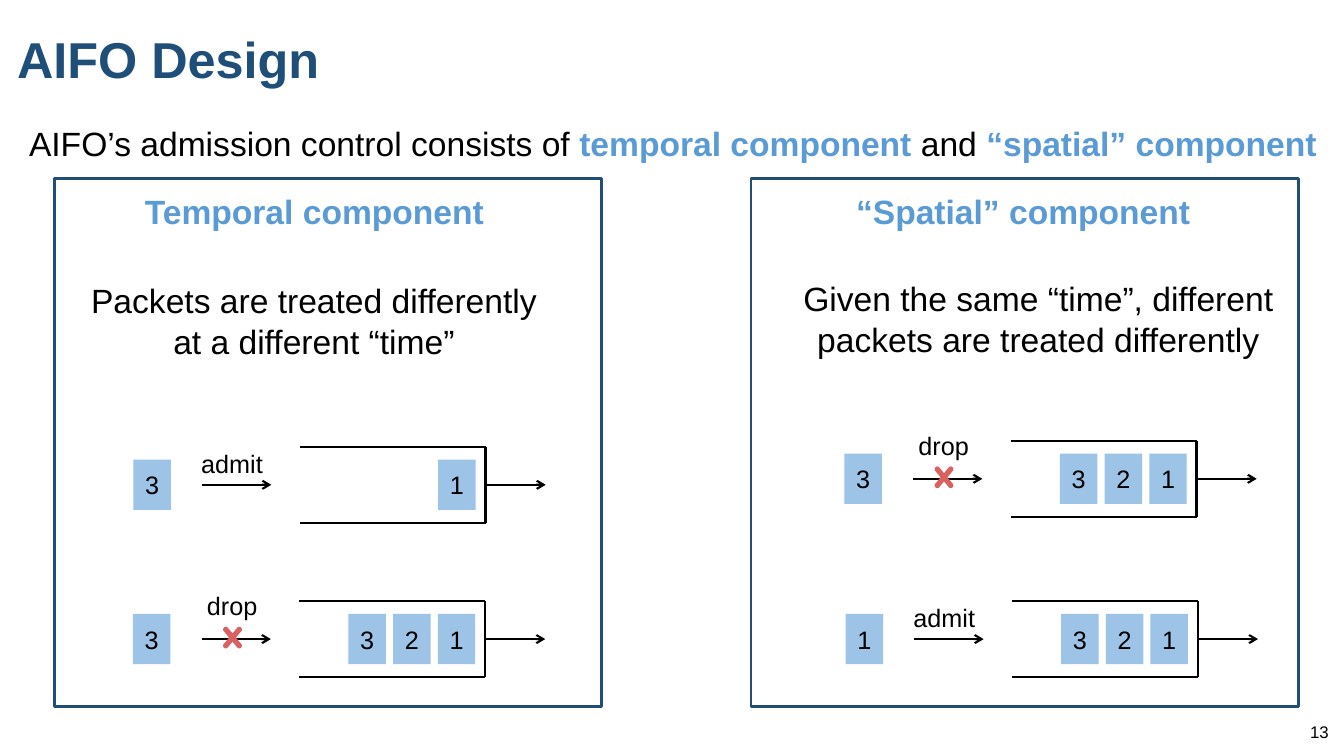
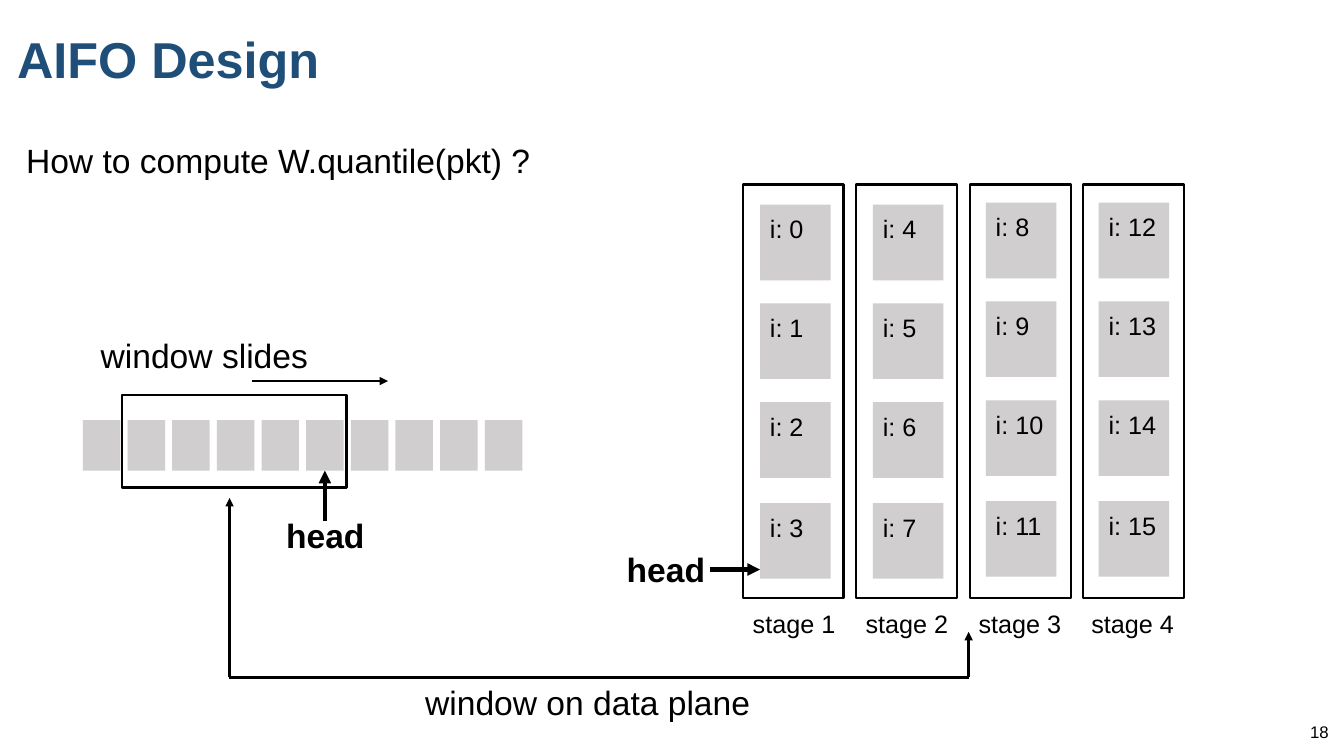
from dataclasses import dataclass
from typing import Any, Optional

import lxml.etree
import pptx
import pptx.dml.color
import pptx.enum.shapes
import pptx.enum.text
import pptx.oxml.ns
import pptx.util

Pt = pptx.util.Pt
Preset = pptx.enum.shapes.MSO_SHAPE
Align = pptx.enum.text.PP_ALIGN
Anchor = pptx.enum.text.MSO_ANCHOR

# Shared look
FONT = "Arial"
BLACK, NAVY, BLUE = "000000", "1F4E79", "5B9BD5"
PALE_BLUE, GREY, RED = "9DC3E6", "D0CECE", "D9615F"
PACKET_WIDTH, PACKET_HEIGHT, PACKET_PITCH = 26.8, 36, 31.9


@dataclass(frozen=True)
class Span:
    text: str
    color: str = BLACK
    bold: bool = False


@dataclass(frozen=True)
class QueueRow:
    left: float
    top: float
    arriving: str
    queued: str  # from the head of the queue backwards
    admitted: bool


@dataclass(frozen=True)
class Panel:
    left: float
    heading: str
    heading_left: float
    heading_width: float
    body: str
    body_left: float
    body_top: float
    body_width: float
    rows: tuple[QueueRow, ...]


PANELS = (
    Panel(38.9, "Temporal component", 95, 259.2,
          "Packets are treated differently at a different “time”", 55.4, 196.6, 337.7,
          (QueueRow(95.3, 328.3, "3", "1", True),
           QueueRow(95, 438.5, "3", "123", False))),
    Panel(536.4, "“Spatial” component", 603.4, 254.9,
          "Given the same “time”, different packets are treated differently", 562.3, 195.1, 358.6,
          (QueueRow(603.2, 324, "3", "123", False),
           QueueRow(604.1, 438.5, "1", "123", True))),
)


def rgb(value: str) -> pptx.dml.color.RGBColor:
    return pptx.dml.color.RGBColor.from_string(value)


def set_font(font: Any, size: float, color: str = BLACK, bold: bool = False) -> None:
    font.name, font.size, font.bold = FONT, Pt(size), bold
    font.color.rgb = rgb(color)


def add_text(page: Any, left: float, top: float, width: float, height: float,
             spans: list[Span], size: float = 24, align: Any = Align.LEFT,
             wrap: bool = False, anchor: Any = Anchor.TOP) -> None:
    box = page.shapes.add_textbox(Pt(left), Pt(top), Pt(width), Pt(height))
    frame = box.text_frame
    frame.word_wrap = wrap
    frame.vertical_anchor = anchor
    para = frame.paragraphs[0]
    para.alignment = align
    for span in spans:
        para.add_run().text = span.text
    if len(spans) == 1:
        set_font(para.font, size, spans[0].color, spans[0].bold)
    else:
        for run, span in zip(para.runs, spans):
            set_font(run.font, size, span.color, span.bold)


def add_shape(page: Any, left: float, top: float, width: float, height: float,
              fill: Optional[str] = None, line: Optional[str] = None,
              weight: float = 2, preset: Any = Preset.RECTANGLE) -> Any:
    shape = page.shapes.add_shape(preset, Pt(left), Pt(top), Pt(width), Pt(height))
    shape.shadow.inherit = False
    if fill:
        shape.fill.solid()
        shape.fill.fore_color.rgb = rgb(fill)
    else:
        shape.fill.background()
    if line:
        shape.line.color.rgb = rgb(line)
        shape.line.width = Pt(weight)
    else:
        shape.line.fill.background()
    return shape


def add_line(page: Any, start: tuple[float, float], end: tuple[float, float],
             weight: float = 1.5, head: Optional[str] = None) -> Any:
    line = page.shapes.add_connector(
        pptx.enum.shapes.MSO_CONNECTOR.STRAIGHT,
        Pt(start[0]), Pt(start[1]), Pt(end[0]), Pt(end[1]))
    line.line.color.rgb = rgb(BLACK)
    line.line.width = Pt(weight)
    qn = pptx.oxml.ns.qn
    properties = line.element.spPr
    if head:
        lxml.etree.SubElement(properties.find(qn("a:ln")), qn("a:tailEnd"), type=head)
    lxml.etree.SubElement(properties, qn("a:effectLst"))
    return line


def add_page(deck: Any, number: str) -> Any:
    page = deck.slides.add_slide(deck.slide_layouts[5])
    title = page.shapes.title
    title.left, title.top, title.width, title.height = Pt(5), Pt(-7.9), Pt(884.2), Pt(104.4)
    title.text_frame.text = "AIFO Design"
    title.text_frame.vertical_anchor = Anchor.MIDDLE
    para = title.text_frame.paragraphs[0]
    para.alignment = Align.LEFT
    para.line_spacing = 0.9
    set_font(para.font, 36, NAVY, True)
    add_text(page, 740.2, 508.3, 216, 28.8, [Span(number)], 12, Align.RIGHT, True, Anchor.MIDDLE)
    return page


def add_packet(page: Any, left: float, top: float, rank: str) -> None:
    packet = add_shape(page, left, top, PACKET_WIDTH, PACKET_HEIGHT, PALE_BLUE)
    frame = packet.text_frame
    frame.vertical_anchor = Anchor.MIDDLE
    frame.paragraphs[0].text = rank
    frame.paragraphs[0].alignment = Align.CENTER
    set_font(frame.paragraphs[0].font, 18)


def add_queue_row(page: Any, row: QueueRow) -> None:
    left, top = row.left, row.top
    middle = top + PACKET_HEIGHT / 2
    mouth, wall = left + 118.8, left + 251.5
    roof, floor = middle - 27, middle + 27
    # Queue walls
    add_line(page, (mouth, roof), (wall, roof))
    add_line(page, (mouth, floor), (wall, floor))
    add_line(page, (wall, floor), (wall, roof))
    # Packets
    add_packet(page, left, top, row.arriving)
    for slot, rank in enumerate(row.queued):
        add_packet(page, left + 217.7 - slot * PACKET_PITCH, top, rank)
    # Arrows in and out, with the decision
    add_line(page, (wall, middle), (wall + 43, middle), head="arrow")
    add_line(page, (left + 49, middle), (left + 98.5, middle), head="arrow")
    if row.admitted:
        add_text(page, left + 41.3, top - 11.5, 59, 28.8, [Span("admit")], 18)
    else:
        add_text(page, left + 45.7, top - 20.2, 51.1, 28.8, [Span("drop")], 18)
        cross = add_shape(page, left + 61, top + 4.7, 20.2, 24.5, line=RED, weight=2.25,
                          preset=Preset.MATH_MULTIPLY)
        cross.adjustments[0] = 0.075


def build_components(deck: Any) -> None:
    page = add_page(deck, "13")
    add_text(page, 13.7, 84.2, 938.2, 36, [
        Span("AIFO’s admission control consists of "),
        Span("temporal component ", BLUE, True),
        Span("and "),
        Span("“spatial” component", BLUE, True)])
    for panel in PANELS:
        add_shape(page, panel.left, 127.4, 391, 377.3, line=NAVY)
        add_text(page, panel.heading_left, 132.5, panel.heading_width, 36,
                 [Span(panel.heading, BLUE, True)], align=Align.CENTER)
        add_text(page, panel.body_left, panel.body_top, panel.body_width, 65.5,
                 [Span(panel.body)], align=Align.CENTER, wrap=True)
        for row in panel.rows:
            add_queue_row(page, row)


def add_stages(page: Any) -> None:
    cell_tops = (146.2, 216.7, 287.3, 359.3)
    for stage in range(4):
        shift = stage * 80.64
        lift = 1.4 if stage >= 2 else 0
        for place, top in enumerate(cell_tops):
            cell = add_shape(page, 542.9 + shift, top - lift, 50.4, 54, GREY)
            frame = cell.text_frame
            frame.vertical_anchor = Anchor.TOP
            frame.margin_top, frame.margin_right = Pt(6.3), Pt(0)
            para = frame.paragraphs[0]
            para.text = f"i: {stage * len(cell_tops) + place}"
            para.alignment = Align.LEFT
            set_font(para.font, 18)
        add_shape(page, 530.6 + stage * 81.1, 131.8, 72, 295.2, line=BLACK, weight=1.5)
        add_text(page, 530.6 + shift, 431.3, 74.2, 28.8, [Span(f"stage {stage + 1}")], 18)


def build_window(deck: Any) -> None:
    page = add_page(deck, "18")
    add_text(page, 11.5, 96.5, 378, 36, [Span("How to compute W.quantile(pkt) ?")])

    # Packet stream and sliding window
    packets = [add_shape(page, 59.2 + index * PACKET_PITCH, 300.2,
                         PACKET_WIDTH, PACKET_HEIGHT, GREY) for index in range(10)]
    add_shape(page, 87.1, 282.2, 160.6, 66.2, line=BLACK)
    add_text(page, 64.8, 235.4, 164.2, 36, [Span("window slides")])
    add_line(page, (180, 272.2), (277.2, 272.2), 2, "triangle")

    # Window head in the stream
    head_x = 59.2 + 5 * PACKET_PITCH + PACKET_WIDTH / 2
    pointer = add_line(page, (head_x, 372.2), (head_x, 336.2), 3, "triangle")
    pointer.end_connect(packets[5], 2)
    add_text(page, 197.3, 364.3, 71.3, 36, [Span("head", bold=True)])

    # Window head in the stages
    add_stages(page)
    add_line(page, (506.9, 406.8), (542.9, 406.8), 3, "triangle")
    add_text(page, 440.6, 388.8, 71.3, 36, [Span("head", bold=True)])

    # Link between the window and the data plane
    window_x, stages_x, base = 164, 691.9, 483.8
    add_line(page, (window_x, base), (window_x, 355.7), 2, "triangle")
    add_line(page, (window_x - 0.7, base), (stages_x, base), 2)
    add_line(page, (stages_x, base), (stages_x, 451.4), 2, "triangle")
    add_text(page, 296.6, 483.8, 249.1, 36, [Span("window on data plane")])


def main() -> None:
    deck = pptx.Presentation()
    deck.slide_width, deck.slide_height = Pt(960), Pt(540)
    build_components(deck)
    build_window(deck)
    deck.save("out.pptx")


if __name__ == "__main__":
    main()
